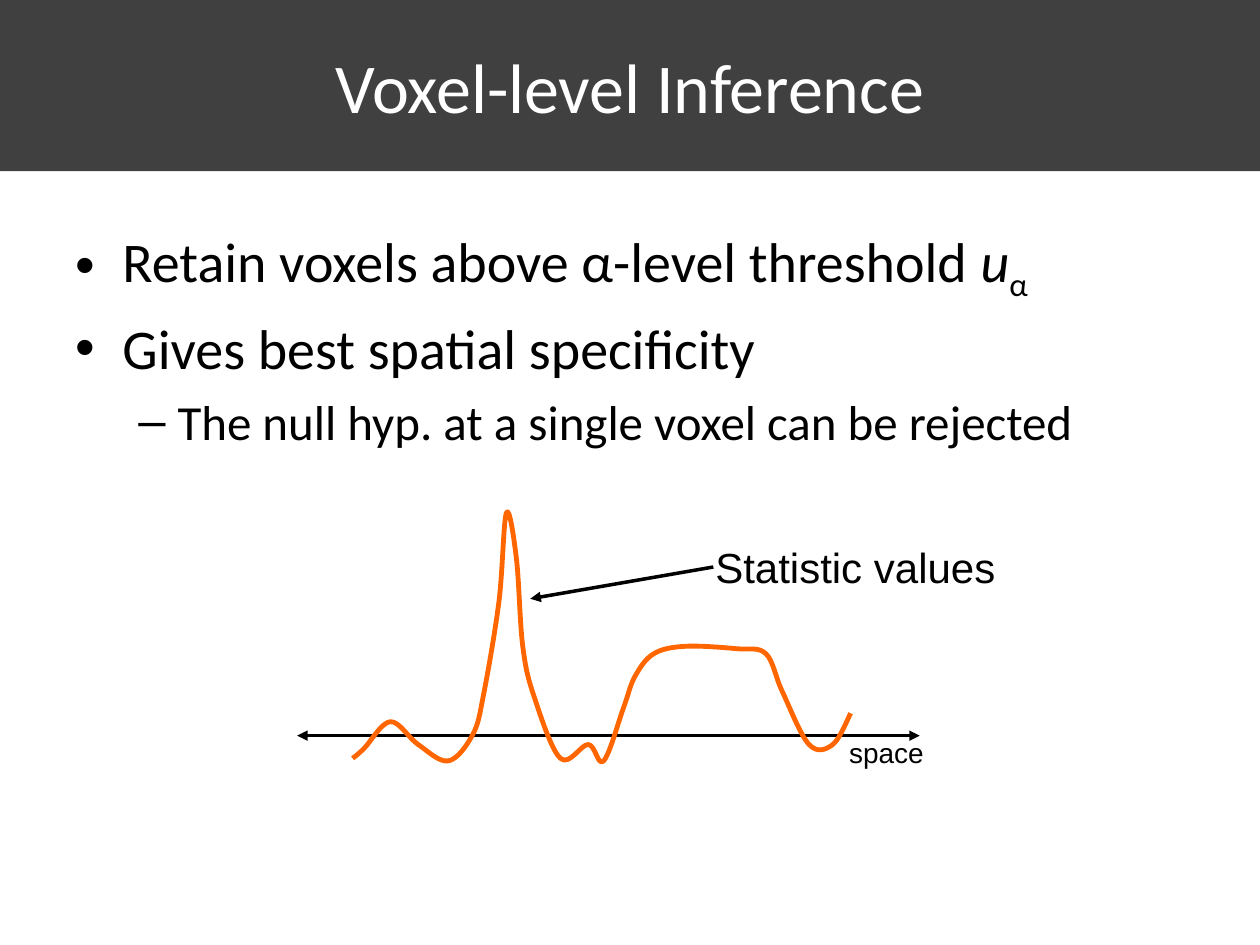
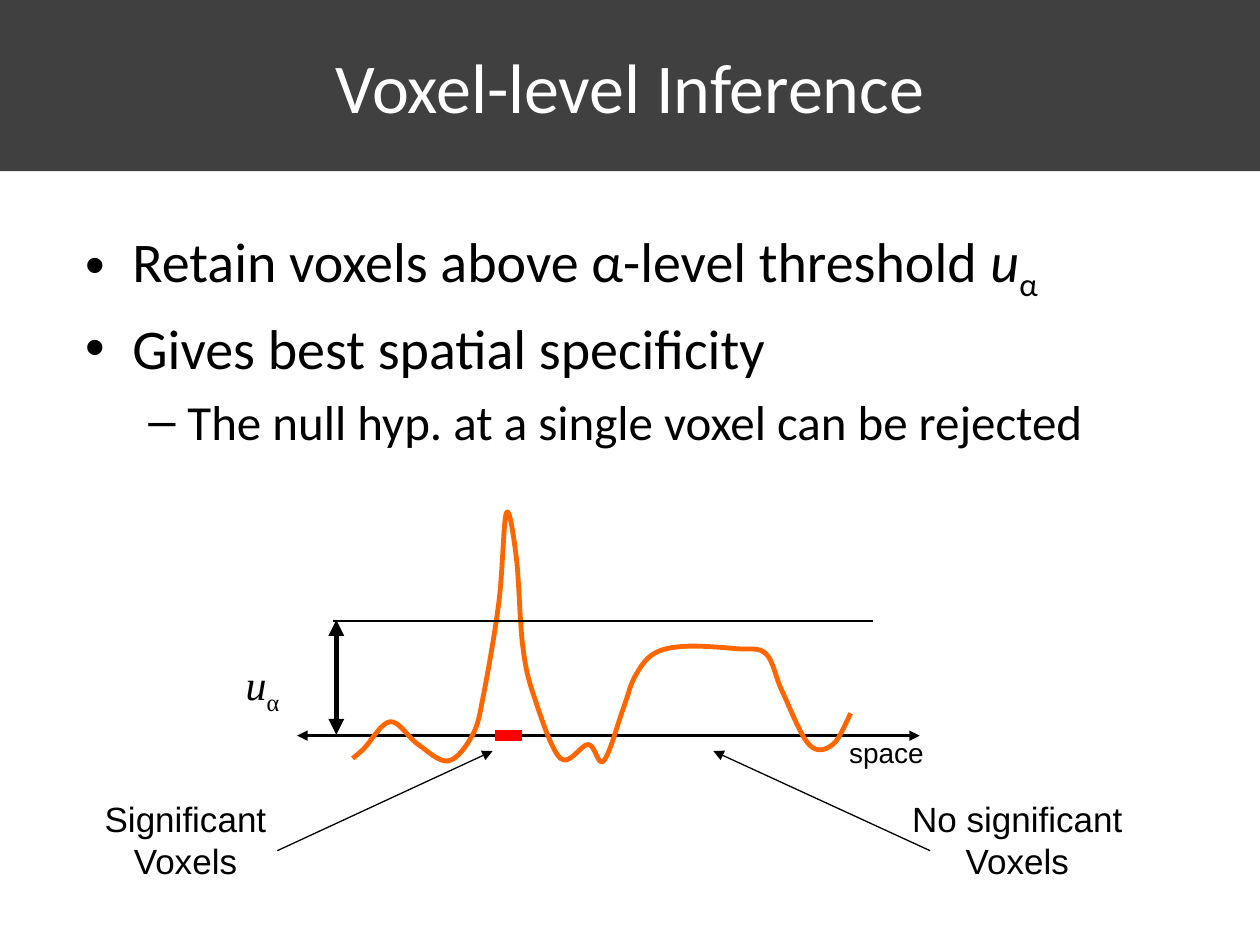
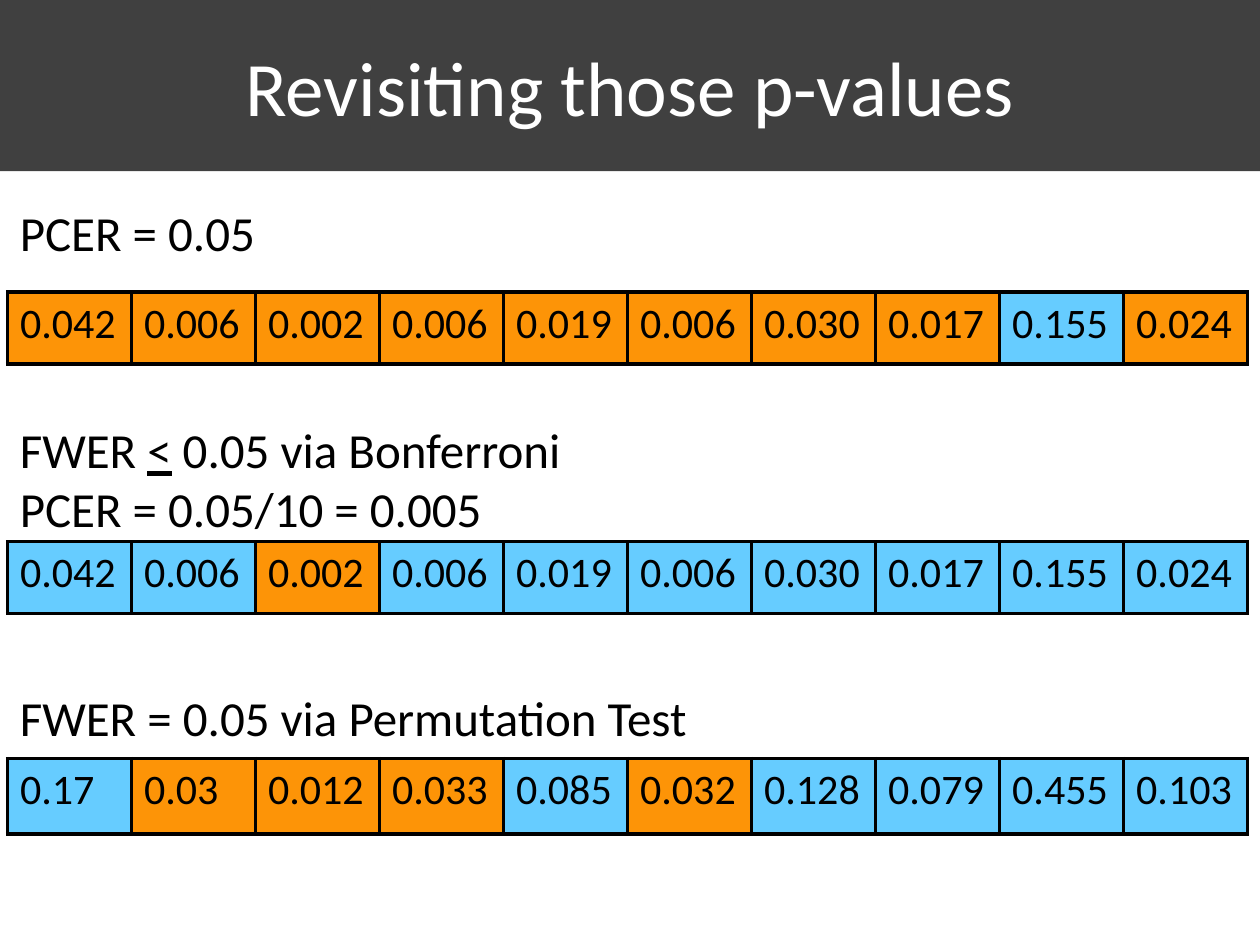
"""Builds three slides on voxel-level inference and corrected p-values."""
import pptx
import pptx.dml.color
import pptx.enum.shapes
import pptx.enum.text
import pptx.oxml
import pptx.oxml.ns
import pptx.util
from lxml import etree

Cm = pptx.util.Cm
Pt = pptx.util.Pt
RGBColor = pptx.dml.color.RGBColor
Align = pptx.enum.text.PP_ALIGN
Anchor = pptx.enum.text.MSO_ANCHOR
qn = pptx.oxml.ns.qn

BLACK = RGBColor(0x00, 0x00, 0x00)
WHITE = RGBColor(0xFF, 0xFF, 0xFF)
BAND_GREY = RGBColor(0x40, 0x40, 0x40)
CURVE_ORANGE = RGBColor(0xFF, 0x66, 0x00)
PEAK_RED = RGBColor(0xFF, 0x00, 0x00)
SIGNIFICANT = RGBColor(0xFD, 0x94, 0x07)
NOT_SIGNIFICANT = RGBColor(0x66, 0xCC, 0xFF)

AXIS_Y = 14.83
LEFT = 0.15
THRESHOLD = [("u", "italic"), ("α", "subscript")]
BULLETS = [
    ("•", 32, 0.95, 0.95, [("Retain voxels above α-level threshold ", "")] + THRESHOLD),
    ("•", 32, 0.95, 0.95, [("Gives best spatial specificity", "")]),
    ("–", 28, 2.06, 0.79, [("The null hyp. at a single voxel can be rejected", "")]),
]
STATISTIC_CURVE = [
    (7.11, 15.29), (7.34, 15.09), (7.87, 14.55), (8.43, 15.01), (9.04, 15.34),
    (9.53, 14.81), (9.75, 14.0), (10.06, 12.12), (10.21, 10.34), (10.41, 11.25),
    (10.54, 13.03), (10.77, 14.05), (11.3, 15.29), (11.86, 15.01), (12.17, 15.34),
    (12.57, 14.27), (12.8, 13.64), (13.18, 13.18), (13.82, 13.03), (14.86, 13.08),
    (15.44, 13.18), (15.77, 13.94), (16.31, 15.01), (16.79, 15.01), (17.15, 14.38),
]
RAW_VALUES = "0.042 0.006 0.002 0.006 0.019 0.006 0.030 0.017 0.155 0.024".split()
PERMUTATION_VALUES = "0.17 0.03 0.012 0.033 0.085 0.032 0.128 0.079 0.455 0.103".split()


def write(paragraph, spans, size, font="Calibri", color=BLACK, align=Align.LEFT):
    """Fill a paragraph with (text, style) spans in one font."""
    paragraph.alignment = align
    paragraph.font.name = font
    paragraph.font.size = Pt(size)
    paragraph.font.color.rgb = color
    for text, style in spans:
        span = paragraph.add_run()
        span.text = text
        if style == "italic":
            span.font.italic = True
        elif style == "underline":
            span.font.underline = True
        elif style == "subscript":
            span._r.get_or_add_rPr().set("baseline", "-25000")


def add_box(page, left, top, width, height):
    """Add a wrapping text box and return its text frame."""
    box = page.shapes.add_textbox(Cm(left), Cm(top), Cm(width), Cm(height))
    box.text_frame.word_wrap = True
    return box.text_frame


def add_label(page, left, top, width, height, lines, size, font="Arial", align=Align.LEFT):
    """Add a text box with one paragraph per list of spans."""
    frame = add_box(page, left, top, width, height)
    for index, spans in enumerate(lines):
        paragraph = frame.add_paragraph() if index else frame.paragraphs[0]
        write(paragraph, spans, size, font, align=align)


def add_page(deck, title, title_size=40):
    """Add a blank page with the title band."""
    page = deck.slides.add_slide(deck.slide_layouts[6])
    band = page.shapes.add_shape(
        pptx.enum.shapes.MSO_SHAPE.RECTANGLE, 0, 0, Cm(25.43), Cm(3.45))
    band.shadow.inherit = False
    band.fill.solid()
    band.fill.fore_color.rgb = BAND_GREY
    band.line.fill.background()
    frame = add_box(page, 1.27, 0.13, 22.86, 3.18)
    frame.vertical_anchor = Anchor.MIDDLE
    write(frame.paragraphs[0], [(title, "")], title_size, color=WHITE, align=Align.CENTER)
    return page


def add_bullets(page, left, width):
    """Add the bulleted points on thresholding."""
    frame = add_box(page, left, 4.45, width, 11.43)
    for index, (mark, size, margin, hanging, spans) in enumerate(BULLETS):
        paragraph = frame.add_paragraph() if index else frame.paragraphs[0]
        properties = paragraph._p.get_or_add_pPr()
        properties.set("marL", str(Cm(margin)))
        properties.set("indent", str(-Cm(hanging)))
        etree.SubElement(properties, qn("a:buFont")).set("typeface", "Arial")
        etree.SubElement(properties, qn("a:buChar")).set("char", mark)
        paragraph.space_after = Pt(6)
        write(paragraph, spans, size)


def add_line(page, start, end, width, color=BLACK, arrows=()):
    """Add a straight line with triangles at the named ends."""
    line = page.shapes.add_connector(
        pptx.enum.shapes.MSO_CONNECTOR.STRAIGHT, *map(Cm, start + end))
    line.line.color.rgb = color
    line.line.width = Pt(width)
    outline = line.line._get_or_add_ln()
    for arrow in arrows:
        etree.SubElement(outline, qn(f"a:{arrow}")).set("type", "triangle")
    etree.SubElement(line._element.spPr, qn("a:effectLst"))


def smooth_points(anchors):
    """Return two control points and an end point for each span of a smooth curve."""
    padded = [anchors[0], *anchors, anchors[-1]]
    points = []
    for before, start, end, after in zip(padded, padded[1:], padded[2:], padded[3:]):
        points.append([s + (e - b) / 6 for b, s, e in zip(before, start, end)])
        points.append([e - (a - s) / 6 for s, e, a in zip(start, end, after)])
        points.append(end)
    return points


def add_curve(page, anchors):
    """Add a smooth open curve through the anchors."""
    builder = page.shapes.build_freeform(*map(Cm, anchors[0]))
    builder.add_line_segments(
        [(Cm(x), Cm(y)) for x, y in smooth_points(anchors)], close=False)
    curve = builder.convert_to_shape()
    curve.shadow.inherit = False
    curve.fill.background()
    curve.line.color.rgb = CURVE_ORANGE
    curve.line.width = Pt(2.75)
    outline = curve._element.find(".//" + qn("a:path"))
    segments = outline.findall(qn("a:lnTo"))
    for index in range(0, len(segments), 3):
        bezier = etree.SubElement(outline, qn("a:cubicBezTo"))
        for segment in segments[index:index + 3]:
            bezier.append(segment[0])
            outline.remove(segment)


def add_statistic_plot(page):
    """Add the space axis, its label and the statistic curve."""
    add_line(page, (5.99, AXIS_Y), (18.54, AXIS_Y), 1.75, arrows=("headEnd", "tailEnd"))
    add_curve(page, STATISTIC_CURVE)
    add_label(page, 16.87, 14.71, 3.45, 0.94, [[("space", "")]], 16)


def add_threshold(page):
    """Add the threshold level, its height and the significant stretch."""
    add_line(page, (6.71, 12.52), (17.6, 12.52), 0.75)
    add_label(page, 4.24, 13.16, 2.11, 1.27, [THRESHOLD], 24, "Times New Roman", Align.CENTER)
    add_line(page, (9.98, AXIS_Y), (10.52, AXIS_Y), 6, PEAK_RED)
    add_line(page, (6.78, 14.81), (6.78, 12.5), 3, arrows=("headEnd", "tailEnd"))


def add_verdict(page, text, left, start, end):
    """Add a two-line verdict with an arrow to the axis."""
    add_label(page, left, 15.95, 5.66, 1.96, [[(text, "")]], 20, align=Align.CENTER)
    add_line(page, start, end, 0.75, arrows=("tailEnd",))


def add_value_row(page, top, height, values, limit):
    """Add a one-row table of p-values coloured by the limit."""
    frame = page.shapes.add_table(
        1, len(values), Cm(LEFT), Cm(top), Cm(2.5 * len(values)), Cm(height))
    table = frame.table
    table.first_row = table.horz_banding = False
    for cell, value in zip(table.rows[0].cells, values):
        properties = cell._tc.get_or_add_tcPr()
        for side in ("lnL", "lnR", "lnT", "lnB"):
            border = etree.SubElement(properties, qn(f"a:{side}"), w=str(Pt(2.25)))
            fill = etree.SubElement(border, qn("a:solidFill"))
            etree.SubElement(fill, qn("a:srgbClr")).set("val", str(BLACK))
        cell.fill.solid()
        cell.fill.fore_color.rgb = SIGNIFICANT if float(value) <= limit else NOT_SIGNIFICANT
        write(cell.text_frame.paragraphs[0], [(value, "")], 24)


def main():
    """Build and save the deck."""
    deck = pptx.Presentation()
    deck.slide_width, deck.slide_height = Cm(25.4), Cm(19.05)

    page = add_page(deck, "Voxel-level Inference")
    add_bullets(page, 1.27, 22.86)
    add_line(page, (14.38, 11.43), (10.69, 12.07), 2, arrows=("tailEnd",))
    add_label(page, 14.17, 10.8, 7.82, 1.27, [[("Statistic values", "")]], 24)
    add_statistic_plot(page)

    page = add_page(deck, "Voxel-level Inference")
    add_bullets(page, 1.47, 22.43)
    add_statistic_plot(page)
    add_threshold(page)
    add_verdict(page, "Significant Voxels", 0.91, (5.59, 17.15), (9.93, 15.14))
    add_verdict(page, "No significant Voxels", 17.68, (18.75, 17.15), (14.38, 15.14))

    page = add_page(deck, "Revisiting those p-values", 44)
    bonferroni = [
        [("FWER ", ""), ("<", "underline"), (" 0.05 via Bonferroni", "")],
        [("PCER = 0.05/10 = 0.005", "")],
    ]
    add_label(page, LEFT, 3.96, 7.65, 1.45, [[("PCER = 0.05", "")]], 28, "Calibri")
    add_value_row(page, 5.89, 1.45, RAW_VALUES, 0.05)
    add_label(page, LEFT, 8.33, 16.23, 2.64, bonferroni, 28, "Calibri")
    add_value_row(page, 10.92, 1.45, RAW_VALUES, 0.005)
    add_label(page, LEFT, 13.74, 16.23, 1.45,
              [[("FWER = 0.05 via Permutation Test", "")]], 28, "Calibri")
    add_value_row(page, 15.29, 1.52, PERMUTATION_VALUES, 0.05)

    deck.save("out.pptx")


if __name__ == "__main__":
    main()
